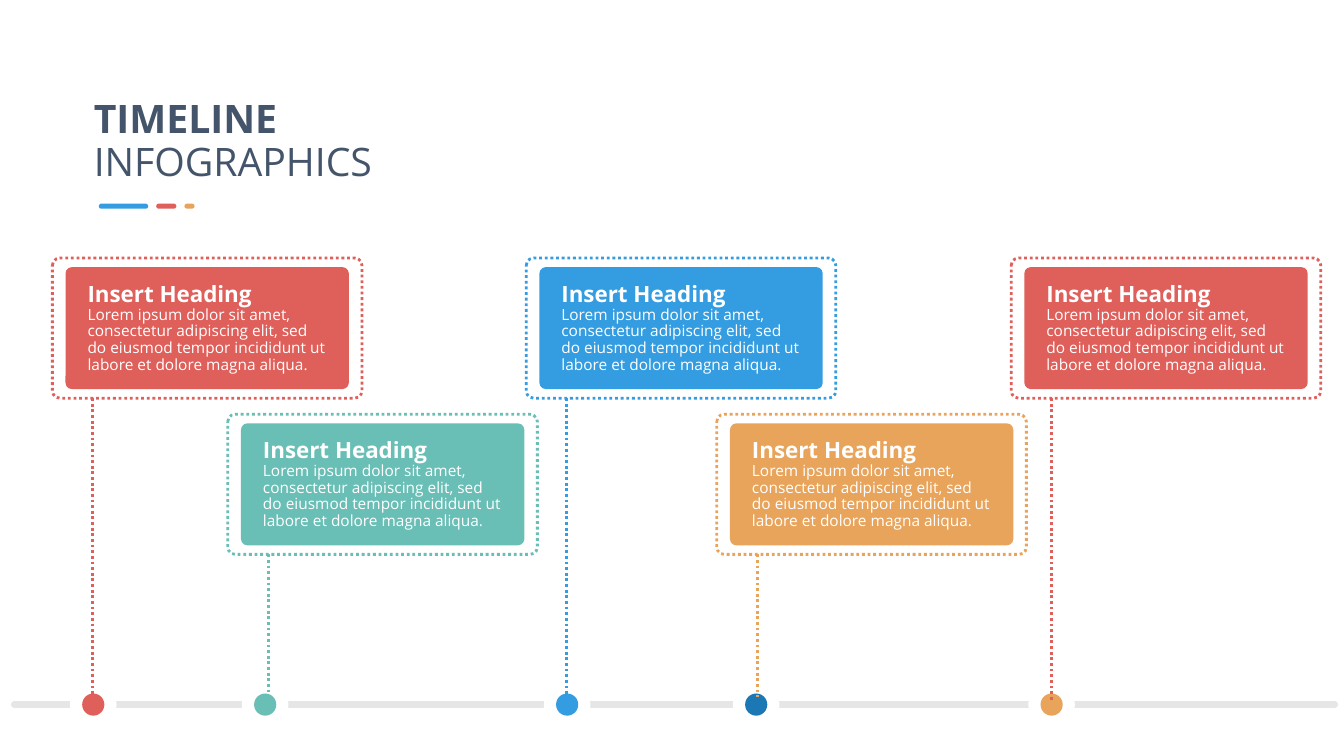
"""Build a timeline slide with five cards hanging above a row of milestones."""
import pptx
import pptx.util
import pptx.dml.color
import pptx.enum.dml
import pptx.enum.shapes
import pptx.enum.text
from lxml import etree

Inches, Pt = pptx.util.Inches, pptx.util.Pt
SHAPE = pptx.enum.shapes.MSO_SHAPE
ANCHOR = pptx.enum.text.MSO_ANCHOR
A = "{http://schemas.openxmlformats.org/drawingml/2006/main}"
RED, TEAL, BLUE, NAVY, ORANGE = "DF5F5A", "69BEB6", "349DE1", "1B78B5", "E8A45B"
WHITE, GREY, SLATE = "FFFFFF", "E7E6E6", "44546A"
BODY = ("Lorem ipsum dolor sit amet, consectetur adipiscing elit, "
        "sed do eiusmod tempor incididunt ut labore et dolore magna aliqua.")

prs = pptx.Presentation()
prs.slide_width, prs.slide_height = Inches(13.33), Inches(7.5)
s = prs.slides.add_slide(prs.slide_layouts[5])


def draw(kind, x, y, w, h, fill=None, line=None, width=2, dotted=False, adj=None):
    """Add a preset shape, or a straight connector when kind is None."""
    if kind is None:
        sp = s.shapes.add_connector(pptx.enum.shapes.MSO_CONNECTOR.STRAIGHT,
                                    Inches(x), Inches(y), Inches(x + w), Inches(y + h))
        etree.SubElement(sp._element.spPr, A + "effectLst")
    else:
        sp = s.shapes.add_shape(kind, Inches(x), Inches(y), Inches(w), Inches(h))
        sp.shadow.inherit = False
        if adj is not None:
            sp.adjustments[0] = adj
        if fill:
            sp.fill.solid()
            sp.fill.fore_color.rgb = pptx.dml.color.RGBColor.from_string(fill)
        else:
            sp.fill.background()
    if line:
        sp.line.color.rgb = pptx.dml.color.RGBColor.from_string(line)
        sp.line.width = Pt(width)
        if dotted:
            sp.line.dash_style = pptx.enum.dml.MSO_LINE.ROUND_DOT
    else:
        sp.line.fill.background()
    return sp


def write(p, text, size, color, bold=False):
    """Put one formatted run in a left-aligned paragraph."""
    p.alignment = pptx.enum.text.PP_ALIGN.LEFT
    p.line_spacing = 0.9
    r = p.add_run()
    r.text = text
    r.font.name, r.font.size, r.font.bold = "Open Sans", Pt(size), bold
    r.font.color.rgb = pptx.dml.color.RGBColor.from_string(color)


axis = draw(None, 0.14, 6.99, 13.1, 0, line=GREY, width=4.5)
axis.line._get_or_add_ln().set("cap", "rnd")

for center, color in [(0.925, RED), (2.63, TEAL), (5.625, BLUE), (7.5, NAVY), (10.43, ORANGE)]:
    draw(SHAPE.OVAL, center - 0.2, 6.79, 0.4, 0.4, fill=WHITE, line=WHITE, width=4.5)
    draw(SHAPE.OVAL, center - 0.11, 6.88, 0.22, 0.22, fill=color)

UPPER, LOWER = (2.56, 6.96), (4.11, 6.91)
cards = [(0.52, UPPER, RED), (5.22, UPPER, BLUE), (10.03, UPPER, RED),
         (2.26, LOWER, TEAL), (7.11, LOWER, ORANGE)]
for left, (top, stem_end), color in cards:
    card = draw(SHAPE.ROUNDED_RECTANGLE, left + 0.13, top + 0.09, 2.81, 1.21,
                fill=color, adj=0.052)
    tf = card.text_frame
    tf.word_wrap = True
    tf.vertical_anchor = ANCHOR.MIDDLE
    tf.margin_left = tf.margin_right = tf.margin_top = tf.margin_bottom = Inches(0.2)
    write(tf.paragraphs[0], "Insert Heading", 16, WHITE, bold=True)
    write(tf.add_paragraph(), BODY, 11, WHITE)
    stem_top = top + 1.39
    draw(None, left + 0.4, stem_top, 0, stem_end - stem_top, line=color, dotted=True)
    draw(SHAPE.ROUNDED_RECTANGLE, left, top, 3.07, 1.39, line=color, dotted=True, adj=0.052)

title = s.shapes.title
title.left, title.top, title.width, title.height = map(Inches, (0.83, 0.94, 2.99, 1.04))
tf = title.text_frame
tf.word_wrap = False
tf.auto_size = pptx.enum.text.MSO_AUTO_SIZE.NONE
tf.vertical_anchor = ANCHOR.TOP
write(tf.paragraphs[0], "TIMELINE", 28, SLATE, bold=True)
write(tf.add_paragraph(), "INFOGRAPHICS", 28, SLATE)

dash_left = 0.98
for width, color in [(0.49, BLUE), (0.2, RED), (0.1, ORANGE)]:
    draw(SHAPE.ROUNDED_RECTANGLE, dash_left, 2.02, width, 0.05, fill=color, adj=0.5)
    dash_left += width + 0.08

prs.save("out.pptx")
